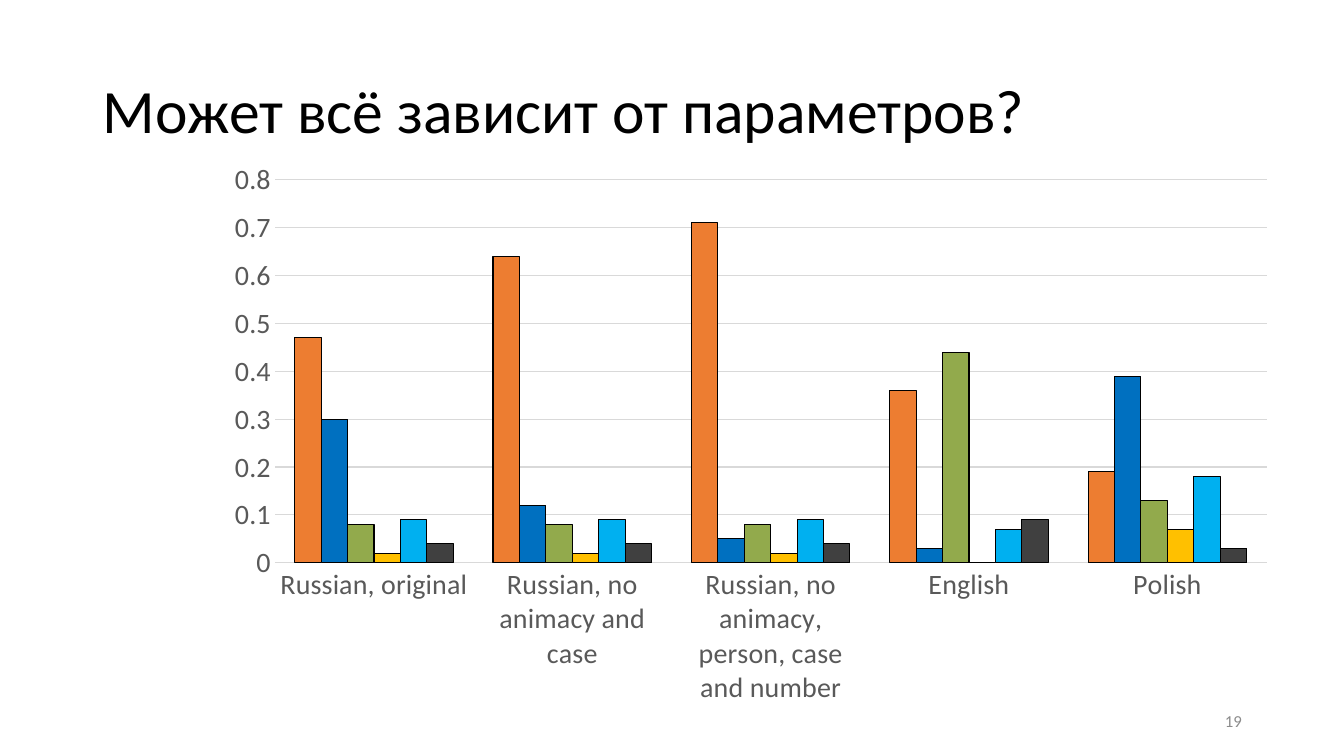
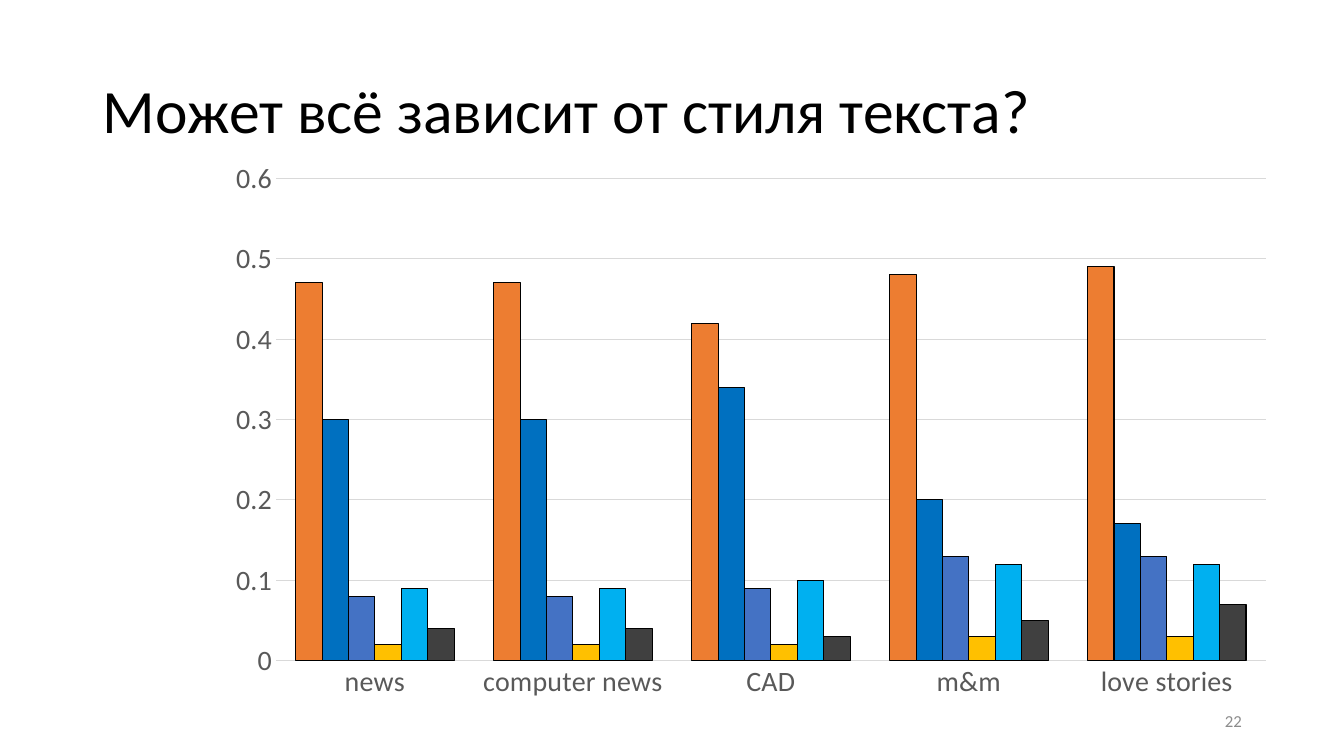
from pptx import Presentation
from pptx import util as u
from pptx.chart.data import CategoryChartData
from pptx.dml.color import RGBColor
from pptx.enum import chart as charts, text

# Shared style
FONT = "Calibri"
BLACK = RGBColor(0x00, 0x00, 0x00)
AXIS_TEXT = RGBColor(0x59, 0x59, 0x59)
GRID = RGBColor(0xD9, 0xD9, 0xD9)
NUMBER_GREY = RGBColor(0x8C, 0x8C, 0x8C)
ORANGE = RGBColor(0xED, 0x7D, 0x31)
BLUE = RGBColor(0x00, 0x70, 0xC0)
GREEN = RGBColor(0x92, 0xAA, 0x4C)
INDIGO = RGBColor(0x44, 0x72, 0xC4)
YELLOW = RGBColor(0xFF, 0xC0, 0x00)
SKY = RGBColor(0x00, 0xB0, 0xF0)
CHARCOAL = RGBColor(0x40, 0x40, 0x40)

TITLE_AREA = (2.34, 1.02, 29.21, 3.68)
NUMBER_AREA = (23.93, 17.65, 7.62, 1.02)

# Slide content: one row of values per series
SLIDES = [
    {
        "title": "Может всё зависит от параметров?",
        "number": "19",
        "area": (5.38, 3.81, 27.08, 14.25),
        "top": 0.8,
        "third_color": GREEN,
        "categories": ["Russian, original", "Russian, no animacy and case",
                       "Russian, no animacy, person, case and number",
                       "English", "Polish"],
        "rows": [
            (0.47, 0.64, 0.71, 0.36, 0.19),
            (0.3, 0.12, 0.05, 0.03, 0.39),
            (0.08, 0.08, 0.08, 0.44, 0.13),
            (0.02, 0.02, 0.02, 0, 0.07),
            (0.09, 0.09, 0.09, 0.07, 0.18),
            (0.04, 0.04, 0.04, 0.09, 0.03),
        ],
    },
    {
        "title": "Может всё зависит от стиля текста?",
        "number": "22",
        "area": (5.41, 3.78, 27.03, 14.12),
        "top": 0.6,
        "third_color": INDIGO,
        "categories": ["news", "computer news", "CAD", "m&m", "love stories"],
        "rows": [
            (0.47, 0.47, 0.42, 0.48, 0.49),
            (0.3, 0.3, 0.34, 0.2, 0.17),
            (0.08, 0.08, 0.09, 0.13, 0.13),
            (0.02, 0.02, 0.02, 0.03, 0.03),
            (0.09, 0.09, 0.1, 0.12, 0.12),
            (0.04, 0.04, 0.03, 0.05, 0.07),
        ],
    },
]


def in_cm(area):
    return [u.Cm(length) for length in area]


def style_font(font, size, color):
    font.name = FONT
    font.size = u.Pt(size)
    font.color.rgb = color


def style_line(line, color):
    line.color.rgb = color
    line.width = u.Pt(0.75)


def add_text(page, area, wording, size, color, align, spacing=1.0):
    frame = page.shapes.add_textbox(*in_cm(area)).text_frame
    frame.word_wrap = True
    frame.vertical_anchor = text.MSO_ANCHOR.MIDDLE
    frame.text = wording
    para = frame.paragraphs[0]
    para.alignment = align
    para.line_spacing = spacing
    style_font(para.runs[0].font, size, color)


def style_axis(axis):
    axis.major_tick_mark = charts.XL_TICK_MARK.NONE
    axis.minor_tick_mark = charts.XL_TICK_MARK.NONE
    style_font(axis.tick_labels.font, 20, AXIS_TEXT)


def add_columns(page, area, categories, rows, colors, top):
    data = CategoryChartData()
    data.categories = categories
    for index, row in enumerate(rows, 1):
        data.add_series(f"Series {index}", row)
    chart = page.shapes.add_chart(
        charts.XL_CHART_TYPE.COLUMN_CLUSTERED, *in_cm(area), data).chart
    chart.has_legend = False
    chart.has_title = False
    style_font(chart.font, 10, BLACK)

    # Axes and grid
    style_axis(chart.category_axis)
    style_line(chart.category_axis.format.line, GRID)
    values = chart.value_axis
    style_axis(values)
    values.minimum_scale, values.maximum_scale = 0, top
    values.major_unit = 0.1
    values.format.line.fill.background()
    style_line(values.major_gridlines.format.line, GRID)

    # Columns
    plot = chart.plots[0]
    plot.gap_width = 150
    plot.vary_by_categories = False
    for series, color in zip(plot.series, colors):
        series.format.fill.solid()
        series.format.fill.fore_color.rgb = color
        style_line(series.format.line, BLACK)


def add_page(deck, content):
    page = deck.slides.add_slide(deck.slide_layouts[6])
    add_text(page, TITLE_AREA, content["title"], 44, BLACK,
             text.PP_ALIGN.LEFT, 0.9)
    colors = (ORANGE, BLUE, content["third_color"], YELLOW, SKY, CHARCOAL)
    add_columns(page, content["area"], content["categories"],
                content["rows"], colors, content["top"])
    add_text(page, NUMBER_AREA, content["number"], 12, NUMBER_GREY,
             text.PP_ALIGN.RIGHT)


def main():
    deck = Presentation()
    deck.slide_width, deck.slide_height = u.Cm(33.87), u.Cm(19.05)
    for content in SLIDES:
        add_page(deck, content)
    deck.save("out.pptx")


if __name__ == "__main__":
    main()
